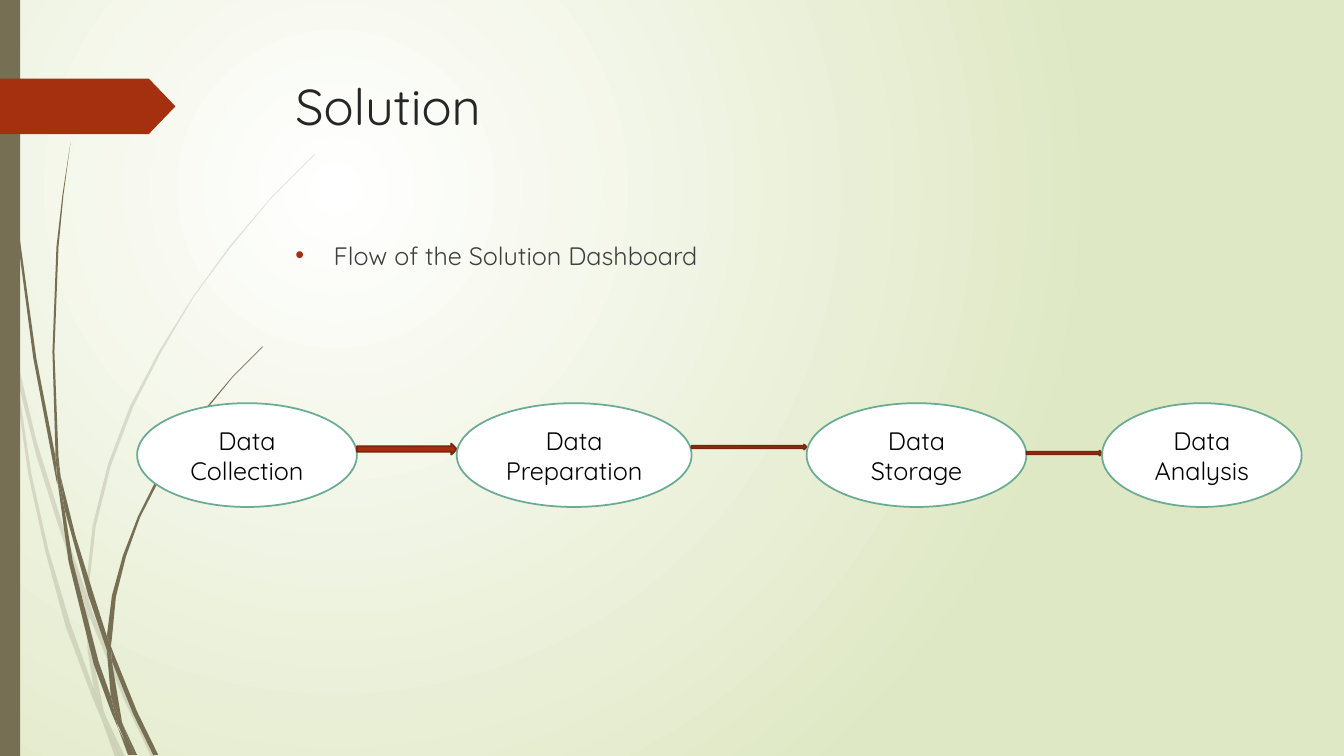
import dataclasses

import lxml.etree
import pptx
import pptx.dml.color
import pptx.enum.shapes
import pptx.enum.text
import pptx.oxml.ns
import pptx.util

SHAPES = pptx.enum.shapes.MSO_SHAPE
ANCHOR = pptx.enum.text.MSO_ANCHOR
ALIGN = pptx.enum.text.PP_ALIGN
SLIDE_WIDTH, SLIDE_HEIGHT = 13.33, 7.5


@dataclasses.dataclass(frozen=True)
class Theme:
    font: str = "Quicksand"
    title_size: int = 36
    text_size: int = 18
    title: str = "262626"
    body: str = "404040"
    step_text: str = "000000"
    step_fill: str = "FFFFFF"
    step_line: str = "6AAC91"
    accent: str = "A53010"
    accent_line: str = "7A240C"
    stem: str = "766F54"
    glow: str = "FFFFFF"
    backdrop: str = "DFE8C4"
    line_width: float = 1.25


@dataclasses.dataclass(frozen=True)
class Box:
    left: float
    top: float
    width: float
    height: float

    def emu(self):
        return [pptx.util.Inches(v) for v in dataclasses.astuple(self)]


THEME = Theme()
PAGE = Box(0, 0, SLIDE_WIDTH, SLIDE_HEIGHT)

# Outlines of the grass blades, in inches from the corner of the page
BACK_BLADES = [
    [(0.11, 3.5), (0.09, 3.22), (0, 2.82), (0, 2.99), (0.1, 3.44)],
    [(0.58, 5.22), (0.84, 5.99), (0.85, 5.86), (0.62, 5.2), (0.36, 4.37), (0.14, 3.45),
     (0.17, 3.76), (0.36, 4.52)],
    [(0.92, 6.07), (0.88, 5.96), (0.88, 6.1), (1.23, 6.94), (1.5, 7.51), (1.55, 7.51),
     (1.27, 6.92)],
    [(1.19, 7.51), (1.24, 7.51), (1.05, 7.11)],
    [(0.93, 6.83), (0.7, 6.19), (0.48, 5.45), (0.31, 4.69), (0.17, 3.76), (0.11, 3.5),
     (0.28, 4.7), (0.45, 5.47), (0.65, 6.21), (0.92, 6.93), (1.01, 7.14), (0.99, 7.07)],
    [(0.84, 5.99), (0.87, 6.46), (0.93, 6.83), (0.96, 6.92), (1.05, 7.11), (1.03, 7.06),
     (0.91, 6.46), (0.88, 6.1)],
    [(0.88, 5.84), (0.95, 5.22), (1.1, 4.62), (1.32, 4.04), (1.6, 3.49), (1.92, 2.95),
     (2.29, 2.45), (2.68, 1.98), (3.12, 1.54), (3.12, 1.53), (2.68, 1.97), (2.28, 2.44),
     (1.91, 2.95), (1.58, 3.48), (1.29, 4.03), (1.07, 4.61), (0.92, 5.21), (0.85, 5.84),
     (0.88, 5.96)],
    [(1.01, 7.14), (1.14, 7.51), (1.19, 7.51)],
    [(0.88, 6.08), (0.88, 5.96), (0.85, 5.86), (0.84, 5.99)],
    [(0.96, 6.92), (0.93, 6.83), (0.99, 7.07), (1.01, 7.14), (1.19, 7.51), (1.05, 7.11)],
]
FRONT_BLADES = [
    [(0.07, 1.1), (0.17, 2.33), (0.33, 3.55), (0.56, 4.77), (0.57, 4.81), (0.55, 4.53),
     (0.36, 3.55), (0.19, 2.32), (0.08, 1.09), (0.04, 0), (0.03, 0)],
    [(0.88, 5.92), (1.06, 6.45), (1.06, 6.31), (0.93, 5.9), (0.75, 5.32), (0.6, 4.72),
     (0.64, 5.05)],
    [(1.13, 6.49), (1.1, 6.41), (1.11, 6.56), (1.32, 7.08), (1.52, 7.49), (1.57, 7.49),
     (1.36, 7.06)],
    [(1.1, 6.91), (0.98, 6.57), (0.72, 5.56), (0.64, 5.05), (0.57, 4.77), (0.68, 5.57),
     (0.93, 6.59), (1.11, 7.08), (1.17, 7.22), (1.16, 7.17)],
    [(0.6, 4.72), (0.58, 4.53), (0.54, 3.49), (0.58, 2.45), (0.63, 1.93), (0.7, 1.41),
     (0.62, 1.93), (0.56, 2.45), (0.52, 3.49), (0.55, 4.49)],
    [(1.33, 7.49), (1.36, 7.49), (1.22, 7.19)],
    [(0.57, 4.77), (0.64, 5.05), (0.6, 4.72), (0.55, 4.49), (0.55, 4.53)],
    [(1.11, 6.33), (1.15, 5.92), (1.25, 5.52), (1.39, 5.13), (1.58, 4.76), (2.05, 4.06),
     (2.31, 3.74), (2.61, 3.44), (2.6, 3.44), (2.31, 3.73), (2.04, 4.05), (1.56, 4.74),
     (1.37, 5.12), (1.22, 5.51), (1.11, 5.91), (1.06, 6.31), (1.1, 6.41)],
    [(1.17, 7.22), (1.27, 7.49), (1.31, 7.49)],
    [(1.06, 6.45), (1.1, 6.91), (1.16, 7.06), (1.22, 7.19), (1.21, 7.16), (1.11, 6.56)],
    [(1.06, 6.45), (1.11, 6.56), (1.1, 6.41), (1.06, 6.31)],
    [(1.16, 7.06), (1.1, 6.91), (1.16, 7.17), (1.3, 7.49), (1.33, 7.49), (1.22, 7.19)],
]
# Label and width of each step, then gap, offset and height of each arrow
STEPS = [("Data Collection", 2.18), ("Data Preparation", 2.33),
         ("Data Storage", 2.18), ("Data Analysis", 1.98)]
ARROWS = [(0.99, 0.4, 0.11), (1.14, 0.41, 0.05), (0.75, 0.47, 0.05)]


def color(value):
    return pptx.dml.color.RGBColor.from_string(value)


def apply(target, formats):
    for name, value in formats.items():
        setattr(target, name, value)


def add_element(parent, tag, **attributes):
    return lxml.etree.SubElement(parent, pptx.oxml.ns.qn(tag), attributes)


def paint(shape, fill, line=None):
    shape.shadow.inherit = False
    shape.fill.solid()
    shape.fill.fore_color.rgb = color(fill)
    if line:
        shape.line.color.rgb = color(line)
        shape.line.width = pptx.util.Pt(THEME.line_width)
    else:
        shape.line.fill.background()
    return shape


def add_shape(page, kind, box, fill, line=None):
    return paint(page.shapes.add_shape(kind, *box.emu()), fill, line)


def write(frame, text, size, ink, align, anchor):
    apply(frame, {"word_wrap": True, "vertical_anchor": anchor,
                  "auto_size": pptx.enum.text.MSO_AUTO_SIZE.NONE})
    para = frame.paragraphs[0]
    para.alignment = align
    span = para.add_run()
    span.text = text
    apply(span.font, {"name": THEME.font, "size": pptx.util.Pt(size)})
    span.font.color.rgb = color(ink)
    return para


def fill_placeholder(holder, box, *text_format):
    apply(holder, dict(zip(("left", "top", "width", "height"), box.emu())))
    return write(holder.text_frame, *text_format, ALIGN.LEFT, ANCHOR.TOP)


def draw_blade(page, box, points, alpha):
    outline = [(pptx.util.Inches(box.left + x), pptx.util.Inches(box.top + y))
               for x, y in points]
    builder = page.shapes.build_freeform(*outline[0])
    builder.add_line_segments(outline[1:], close=True)
    blade = paint(builder.convert_to_shape(), THEME.stem)
    if alpha < 100:
        tint = blade.element.find(".//" + pptx.oxml.ns.qn("a:srgbClr"))
        add_element(tint, "a:alpha", val=str(alpha * 1000))


def draw_background(page):
    fill = page.background.fill
    fill.gradient()
    for stop, value in zip(fill.gradient_stops, (THEME.glow, THEME.backdrop)):
        stop.color.rgb = color(value)
    gradient = page.element.find(".//" + pptx.oxml.ns.qn("a:gradFill"))
    gradient.remove(gradient.find(pptx.oxml.ns.qn("a:lin")))
    glow = add_element(gradient, "a:path", path="circle")
    add_element(glow, "a:fillToRect", l="50000", t="50000", r="100000", b="100000")


def draw_side(page, box):
    for blades, alpha in ((BACK_BLADES, 20), (FRONT_BLADES, 100)):
        for points in blades:
            draw_blade(page, box, points, alpha)
    bar = Box(box.left, box.top, 0.2, box.height)
    add_shape(page, SHAPES.RECTANGLE, bar, THEME.stem)
    tag = Box(box.left, box.top + 0.78, 1.74, 0.55)
    add_shape(page, SHAPES.PENTAGON, tag, THEME.accent).adjustments[0] = 0.48


def write_text(page, box):
    title, body = page.placeholders
    fill_placeholder(title, Box(box.left, box.top, box.width, 1.4),
                     "Solution", THEME.title_size, THEME.title)
    para = fill_placeholder(body, Box(box.left, box.top + 1.64, box.width, 4.13),
                            "Flow of the Solution Dashboard", THEME.text_size, THEME.body)
    para.space_before = pptx.util.Pt(10)
    # Red bullet with a hanging indent
    indent = pptx.util.Inches(0.38)
    layout = para._p.get_or_add_pPr()
    layout.set("marL", str(indent))
    layout.set("indent", str(-indent))
    add_element(add_element(layout, "a:buClr"), "a:srgbClr", val=THEME.accent)
    add_element(layout, "a:buFont", typeface="Arial")
    add_element(layout, "a:buChar", char="•")


def draw_flow(page, box):
    left = box.left
    for index, (label, width) in enumerate(STEPS):
        step = add_shape(page, SHAPES.OVAL, Box(left, box.top, width, box.height),
                         THEME.step_fill, THEME.step_line)
        write(step.text_frame, label, THEME.text_size, THEME.step_text,
              ALIGN.CENTER, ANCHOR.MIDDLE)
        left += width
        if index < len(ARROWS):
            gap, offset, height = ARROWS[index]
            add_shape(page, SHAPES.RIGHT_ARROW, Box(left, box.top + offset, gap, height),
                      THEME.accent, THEME.accent_line)
            left += gap


def main():
    deck = pptx.Presentation()
    apply(deck, {"slide_width": pptx.util.Inches(SLIDE_WIDTH),
                 "slide_height": pptx.util.Inches(SLIDE_HEIGHT)})
    page = deck.slides.add_slide(deck.slide_layouts[1])
    draw_background(page)
    draw_side(page, PAGE)
    write_text(page, Box(2.83, 0.69, 9.75, 5.77))
    draw_flow(page, Box(1.36, 4, 11.55, 1.03))
    deck.save("out.pptx")


if __name__ == "__main__":
    main()
